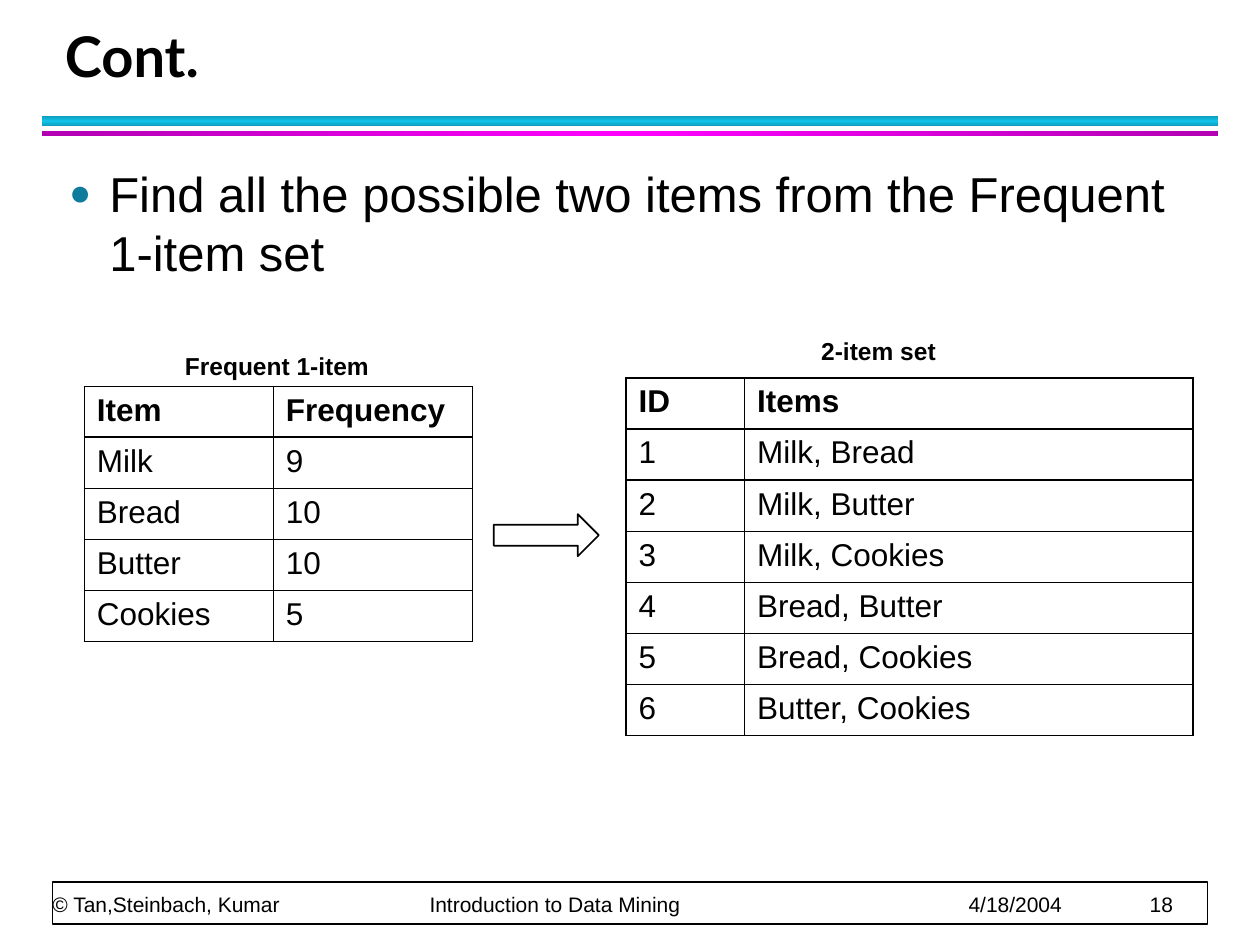
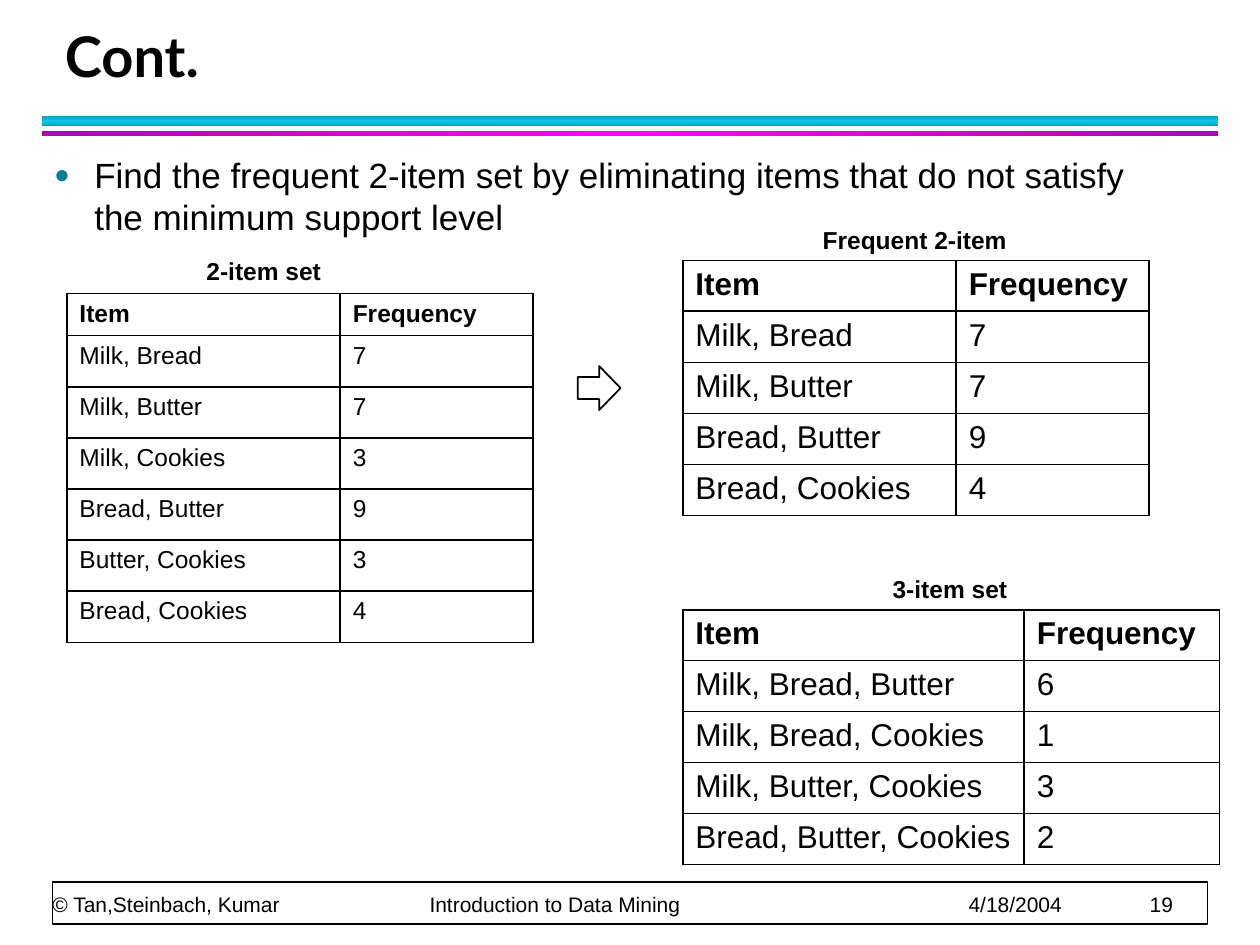
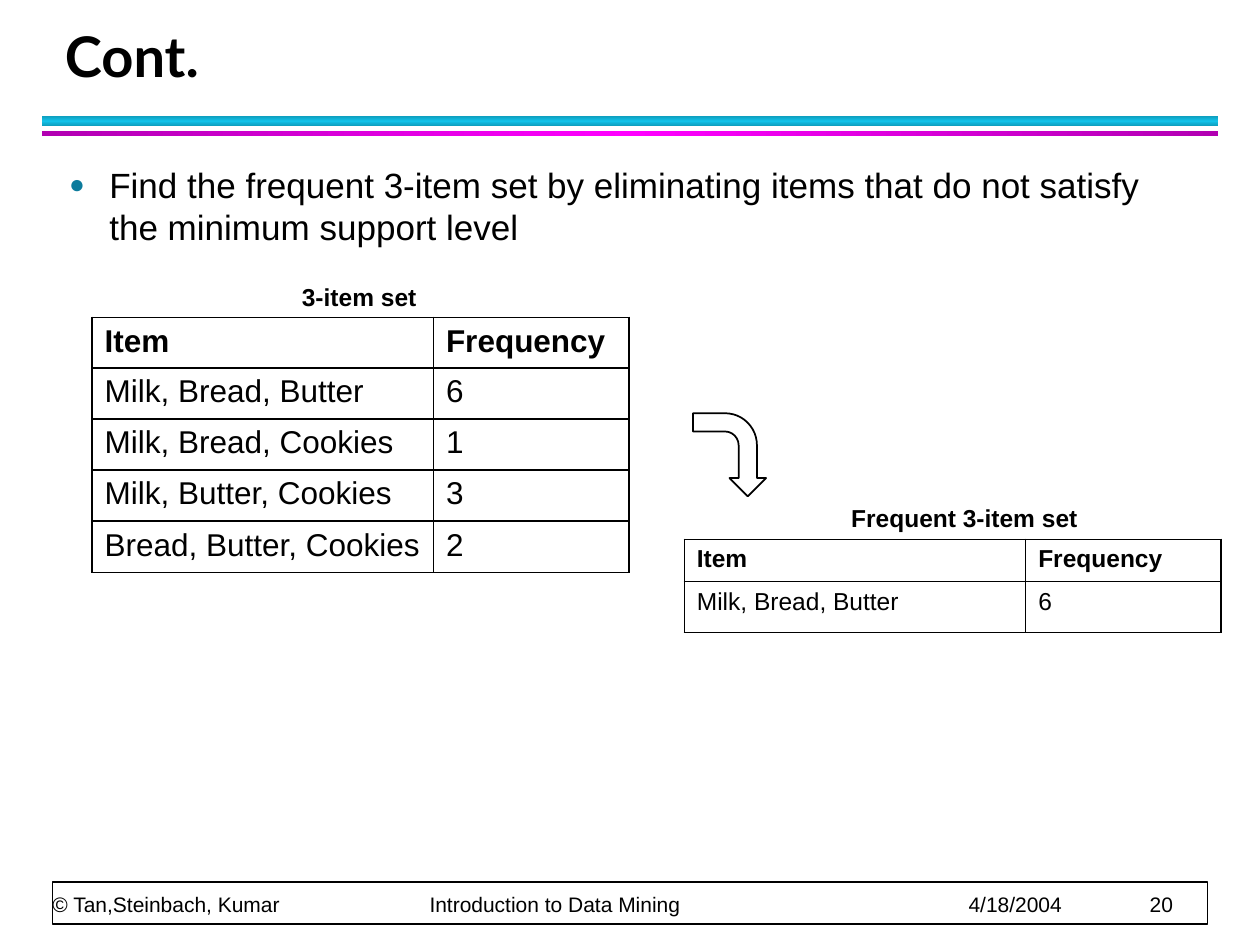
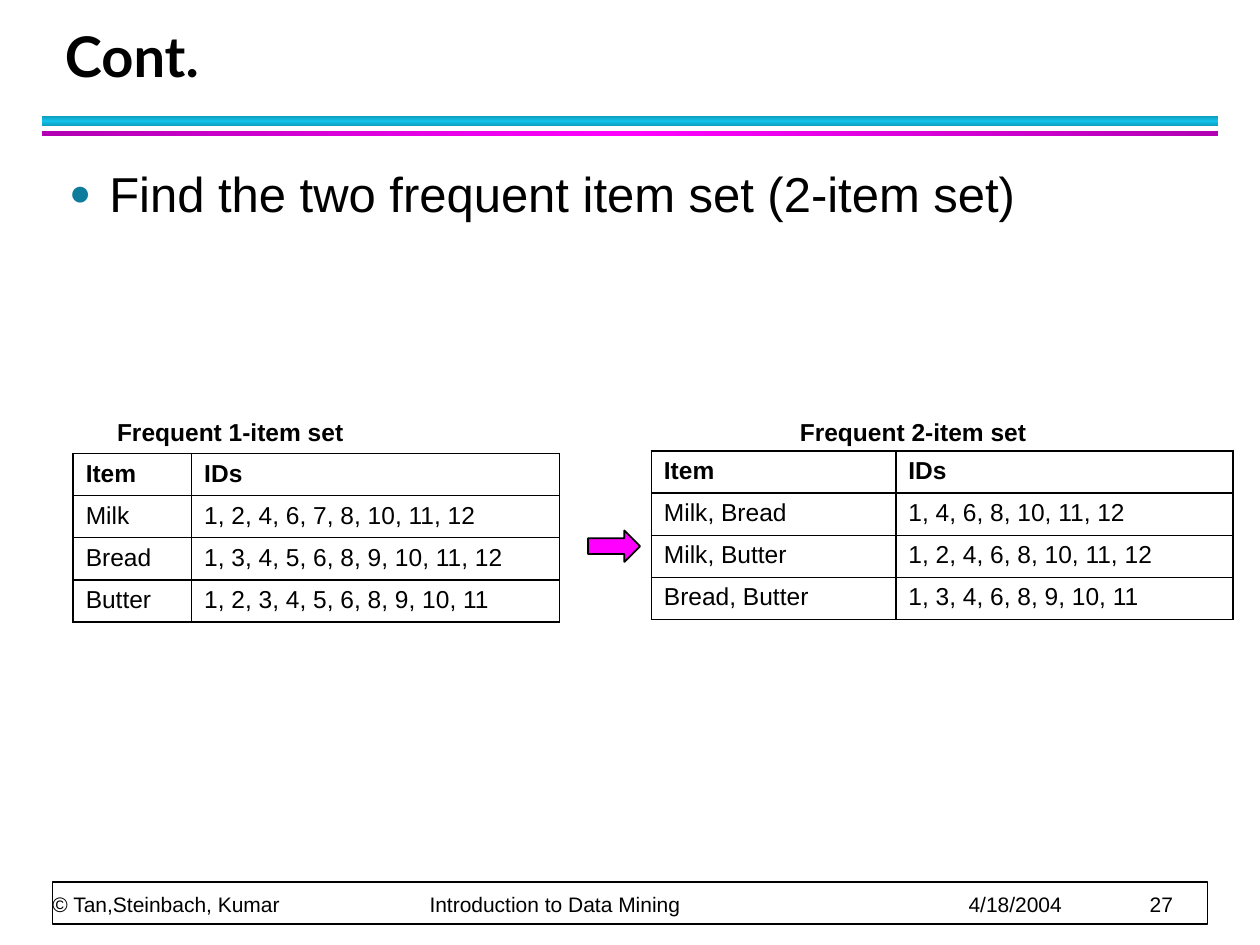
from lxml import etree
from pptx import Presentation
from pptx.dml.color import RGBColor
from pptx.enum.shapes import MSO_SHAPE
from pptx.enum.text import MSO_ANCHOR
from pptx.oxml.ns import qn
from pptx.util import Pt

RECT = MSO_SHAPE.RECTANGLE
RIGHT, DOWN, BENT = MSO_SHAPE.RIGHT_ARROW, MSO_SHAPE.DOWN_ARROW, MSO_SHAPE.BENT_ARROW
TOP, BOTTOM = MSO_ANCHOR.TOP, MSO_ANCHOR.BOTTOM

COLORS = {
    "ink": "000000", "paper": "FFFFFF", "bullet": "0C7B9C",
    "teal": "0E9BBA", "cyan": "12C2E9", "purple": "B200B2", "magenta": "FF00FF",
}
TITLE_FONT, TEXT_FONT = "Lato", "Arial"

# Content shared by all slides
TITLE = "Cont."
FOOTER = ("© Tan,Steinbach, Kumar", "Introduction to Data Mining", "4/18/2004")
FOOTER_TABS = (215.5, 523.5, 627)
# top, height, edge colour, middle colour, angle
BANDS = [(66.2, 6, "teal", "cyan", 90), (74.8, 3, "purple", "magenta", 0)]

# Table content
THREE_ITEMS = [
    ("Item", "Frequency"), ("Milk, Bread, Butter", "6"), ("Milk, Bread, Cookies", "1"),
    ("Milk, Butter, Cookies", "3"), ("Bread, Butter, Cookies", "2"),
]
PAIRS = ["Milk, Bread", "Milk, Butter", "Milk, Cookies",
         "Bread, Butter", "Bread, Cookies", "Butter, Cookies"]
WIDE_COLS, PAIR_COLS = (195.1, 111.6), (156.2, 110.2)
ROW = 29.2

# tables: position, column widths, header height, row height, text size, rows
# captions: text, left, top, width
# arrow: shape, left, top, width, height, rotation, fill
SLIDES = [
    {
        "page": 18, "bullet": "Find all the possible two items from the Frequent 1-item set",
        "size": 28, "body_at": (32.4, 90),
        "tables": [
            ((357.8, 216), (67.7, 256.3), ROW, ROW, 18,
             [("ID", "Items")] + [(str(n), pair) for n, pair in enumerate(PAIRS, 1)]),
            ((48.2, 221), (108, 113.8), 28.8, ROW, 18,
             [("Item", "Frequency"), ("Milk", "9"), ("Bread", "10"),
              ("Butter", "10"), ("Cookies", "5")]),
        ],
        "captions": [("Frequent 1-item", 98.6, 197.3, 120.2), ("2-item set", 462.2, 188.5, 160.6)],
        "arrow": (RIGHT, 282.2, 293.8, 60, 24, 0, "paper"),
    },
    {
        "page": 19, "size": 20, "body_at": (23.8, 84.2),
        "bullet": "Find the frequent 2-item set by eliminating items that do not satisfy "
                  "the minimum support level",
        "tables": [
            ((38.2, 167.8), PAIR_COLS, 24, ROW, 14,
             [("Item", "Frequency"), ("Milk, Bread", "7"), ("Milk, Butter", "7"),
              ("Milk, Cookies", "3"), ("Bread, Butter", "9"), ("Butter, Cookies", "3"),
              ("Bread, Cookies", "4")]),
            ((390.2, 149), PAIR_COLS, 28.8, ROW, 18,
             [("Item", "Frequency"), ("Milk, Bread", "7"), ("Milk, Butter", "7"),
              ("Bread, Butter", "9"), ("Bread, Cookies", "4")]),
            ((390.2, 348.5), WIDE_COLS, 28.8, ROW, 18, THREE_ITEMS),
        ],
        "captions": [("2-item set", 110.9, 142.8, 160.6), ("Frequent 2-item", 463, 124.8, 120.2),
                     ("3-item set", 503, 324.3, 80)],
        "arrow": (DOWN, 329.8, 209.5, 25.2, 24.5, 270, "paper"),
    },
    {
        "page": 20, "size": 20, "body_at": (32.4, 90),
        "bullet": "Find the frequent 3-item set by eliminating items that do not satisfy "
                  "the minimum support level",
        "tables": [
            ((52.6, 181.4), WIDE_COLS, 28.8, ROW, 18, THREE_ITEMS),
            ((391, 308.2), WIDE_COLS, 24, ROW, 14, THREE_ITEMS[:2]),
        ],
        "captions": [("3-item set", 165.4, 157.7, 80.6),
                     ("Frequent 3-item set", 479.3, 283.7, 144.7)],
        "arrow": (BENT, 393.1, 239, 47.5, 41.8, 90, "paper"),
    },
    {
        "page": 27, "bullet": "Find the two frequent item set (2-item set)",
        "size": 28, "body_at": (32.4, 90),
        "tables": [
            ((372.2, 257.8), (139.7, 192.7), 24, 24, 14,
             [("Item", "IDs"), ("Milk, Bread", "1, 4, 6, 8, 10, 11, 12"),
              ("Milk, Butter", "1, 2, 4, 6, 8, 10, 11, 12"),
              ("Bread, Butter", "1, 3, 4, 6, 8, 9, 10, 11")]),
            ((41.8, 259.2), (67.7, 210.2), 23, 23, 14,
             [("Item", "IDs"), ("Milk", "1, 2, 4, 6, 7, 8, 10, 11, 12"),
              ("Bread", "1, 3, 4, 5, 6, 8, 9, 10, 11, 12"),
              ("Butter", "1, 2, 3, 4, 5, 6, 8, 9, 10, 11")]),
        ],
        "captions": [("Frequent 1-item set", 59.8, 234.7, 156.2),
                     ("Frequent 2-item set", 450, 234.7, 156.2)],
        "arrow": (RIGHT, 336, 303.1, 29.8, 18, 0, "magenta"),
    },
]


def rgb(name):
    return RGBColor.from_string(COLORS[name])


def add_xml(parent, tag, **attributes):
    return etree.SubElement(parent, qn(tag), attributes)


def add_color(parent, name):
    add_xml(add_xml(parent, "a:solidFill"), "a:srgbClr", val=COLORS[name])


def set_font(paragraph, size, bold=False, name=TEXT_FONT):
    font = paragraph.font
    font.name, font.size, font.bold = name, Pt(size), bold
    font.color.rgb = rgb("ink")


def add_text(slide, text, left, top, width, height, anchor=TOP, wrap=True, inset=True):
    frame = slide.shapes.add_textbox(Pt(left), Pt(top), Pt(width), Pt(height)).text_frame
    frame.word_wrap, frame.vertical_anchor = wrap, anchor
    if not inset:
        frame.margin_left = frame.margin_right = frame.margin_top = frame.margin_bottom = 0
    frame.text = text
    return frame.paragraphs[0]


def add_figure(slide, preset, left, top, width, height, fill="paper", outlined=True):
    figure = slide.shapes.add_shape(preset, Pt(left), Pt(top), Pt(width), Pt(height))
    figure.shadow.inherit = False
    figure.fill.solid()
    figure.fill.fore_color.rgb = rgb(fill)
    if outlined:
        figure.line.color.rgb = rgb("ink")
        figure.line.width = Pt(1)
    else:
        figure.line.fill.background()
    return figure


def add_band(slide, top, height, edge, middle, angle):
    band = add_figure(slide, RECT, 24, top, 672, height, outlined=False)
    band.fill.gradient()
    band.fill.gradient_angle = angle
    stops = next(band._element.iter(qn("a:gsLst")))
    for stop in list(stops):
        stops.remove(stop)
    for position, color in ((0, edge), (50000, middle), (100000, edge)):
        add_xml(add_xml(stops, "a:gs", pos=str(position)), "a:srgbClr", val=COLORS[color])


def add_frame(slide, page):
    """Footer, bands and title."""
    add_figure(slide, RECT, 30, 504, 660, 24)
    footer = add_text(slide, "\t".join(FOOTER + (str(page),)), 30, 504, 659, 20,
                      anchor=BOTTOM, inset=False)
    tabs = add_xml(footer._p.get_or_add_pPr(), "a:tabLst")
    for position in FOOTER_TABS:
        add_xml(tabs, "a:tab", pos=str(Pt(position)), algn="l")
    footer.line_spacing = Pt(20)
    set_font(footer, 12)

    for band in BANDS:
        add_band(slide, *band)

    title = add_text(slide, TITLE, 30, 12, 652, 42, anchor=BOTTOM)
    title.line_spacing = Pt(36)
    set_font(title, 32, True, TITLE_FONT)


def add_bullet(slide, text, size, left, top):
    bullet = add_text(slide, text, left, top, 655, 408)
    props = bullet._p.get_or_add_pPr()
    props.set("marL", str(Pt(23)))
    props.set("indent", str(-Pt(23)))
    add_xml(add_xml(props, "a:buClr"), "a:srgbClr", val=COLORS["bullet"])
    add_xml(props, "a:buSzPct", val="75000")
    add_xml(props, "a:buFont", typeface=TEXT_FONT)
    add_xml(props, "a:buChar", char="●")
    bullet.space_before, bullet.space_after = Pt(size / 10), Pt(4)
    set_font(bullet, size)


def style_cell(cell, text, size, bold):
    cell.text = text
    set_font(cell.text_frame.paragraphs[0], size, bold)
    props = cell._tc.get_or_add_tcPr()
    for side in ("a:lnL", "a:lnR", "a:lnT", "a:lnB"):
        add_color(add_xml(props, side, w=str(Pt(1))), "ink")
    cell.fill.background()


def add_grid(slide, at, widths, header, row_height, size, rows):
    height = header + row_height * (len(rows) - 1)
    grid = slide.shapes.add_table(len(rows), len(widths), Pt(at[0]), Pt(at[1]),
                                  Pt(sum(widths)), Pt(height)).table
    grid.first_row = grid.horz_banding = False
    for column, width in zip(grid.columns, widths):
        column.width = Pt(width)
    for r, values in enumerate(rows):
        grid.rows[r].height = Pt(row_height if r else header)
        for c, value in enumerate(values):
            style_cell(grid.cell(r, c), value, size, r == 0)


def main():
    deck = Presentation()
    deck.slide_width, deck.slide_height = Pt(720), Pt(540)
    for content in SLIDES:
        slide = deck.slides.add_slide(deck.slide_layouts[6])
        add_frame(slide, content["page"])
        add_bullet(slide, content["bullet"], content["size"], *content["body_at"])
        for grid in content["tables"]:
            add_grid(slide, *grid)
        for text, left, top, width in content["captions"]:
            set_font(add_text(slide, text, left, top, width, 24.2, wrap=False), 14, True)
        *place, rotation, fill = content["arrow"]
        add_figure(slide, *place, fill=fill).rotation = rotation
    deck.save("out.pptx")


if __name__ == "__main__":
    main()
